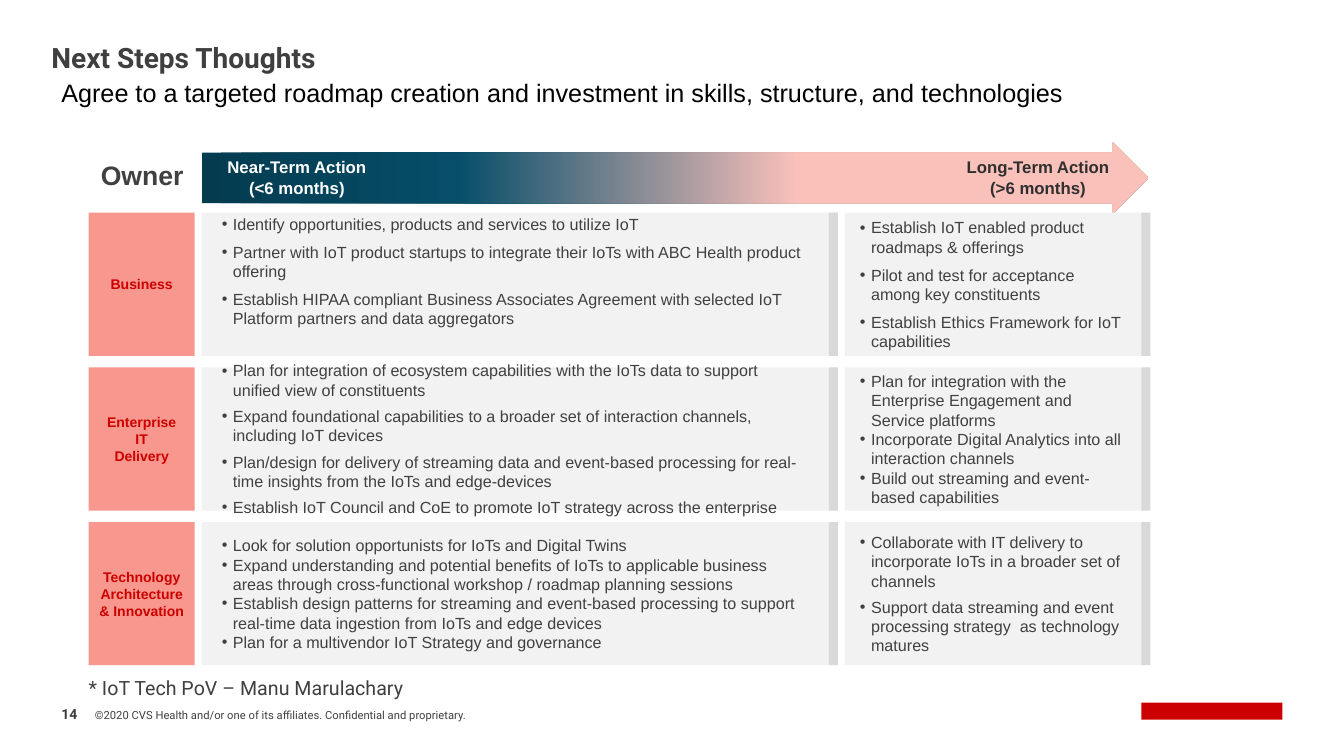
import copy

import pptx
import pptx.dml.color
import pptx.enum.shapes
import pptx.enum.text
import pptx.oxml
import pptx.oxml.ns
import pptx.util

Inches = pptx.util.Inches
Pt = pptx.util.Pt
SHAPES = pptx.enum.shapes.MSO_SHAPE
ANCHOR = pptx.enum.text.MSO_ANCHOR
ALIGN = pptx.enum.text.PP_ALIGN

COLORS = {
    "grey text": "3F3F3F", "card text": "404040", "dark text": "2F2F2F",
    "black": "000000", "white": "FFFFFF", "red": "CC0000",
    "owner": "F7978D", "card": "F2F2F2", "bar": "D9D9D9",
    "navy": "043B4F", "teal": "064E69", "pink": "FAC1BB",
}

# Roadmap grid, in inches
ROW_TOP, ROW_PITCH, ROW_HEIGHT = 2.11, 1.535, 1.42
OWNER_LEFT, OWNER_WIDTH = 0.88, 1.05
BAR_WIDTH = 0.09
BULLET_INDENT = Inches(0.11)
# left, width, bar left, left inset, right inset
COLUMNS = [(2, 6.3, 8.22, 0.2, 0.3), (8.38, 3, 11.32, 0.15, 0.2)]

# owner, then (space after, bullets) for near term and long term
ROWS = [
    ("Business",
     (6, ["Identify opportunities, products and services to utilize IoT",
          "Partner with IoT product startups to integrate their IoTs with ABC Health product offering",
          "Establish HIPAA compliant Business Associates Agreement with selected IoT Platform partners and data aggregators"]),
     (6, ["Establish IoT enabled product roadmaps & offerings",
          "Pilot and test for acceptance among key constituents",
          "Establish Ethics Framework for IoT capabilities"])),
    ("Enterprise\vIT\vDelivery",
     (5, ["Plan for integration of ecosystem capabilities with the IoTs data to support unified view of constituents",
          "Expand foundational capabilities to a broader set of interaction channels, including IoT devices",
          "Plan/design for delivery of streaming data and event-based processing for real-time insights from the IoTs and edge-devices",
          "Establish IoT Council and CoE to promote IoT strategy across the enterprise"]),
     (0, ["Plan for integration with the Enterprise Engagement and Service platforms",
          "Incorporate Digital Analytics into all interaction channels",
          "Build out streaming and event-based capabilities"])),
    ("Technology Architecture & Innovation",
     (0, ["Look for solution opportunists for IoTs and Digital Twins",
          "Expand understanding and potential benefits of IoTs to applicable business areas through cross-functional workshop / roadmap planning sessions",
          "Establish design patterns for streaming and event-based processing to support real-time data ingestion from IoTs and edge devices",
          "Plan for a multivendor IoT Strategy and governance"]),
     (5, ["Collaborate with IT delivery to incorporate IoTs in a broader set of channels",
          "Support data streaming and event processing strategy  as technology matures"])),
]

presentation = pptx.Presentation()
presentation.slide_width = Inches(13.33)
presentation.slide_height = Inches(7.5)
slide = presentation.slides.add_slide(presentation.slide_layouts[5])


def add_block(kind, left, top, width, height, color):
    shape = slide.shapes.add_shape(kind, Inches(left), Inches(top), Inches(width), Inches(height))
    shape.shadow.inherit = False
    shape.fill.solid()
    shape.fill.fore_color.rgb = pptx.dml.color.RGBColor.from_string(COLORS[color])
    shape.line.fill.background()
    return shape


def write(shape, text, size, color, font="Arial", bold=False, align=ALIGN.LEFT,
          anchor=ANCHOR.TOP, insets=(0.1, 0.05, 0.1, 0.05), wrap=True):
    """Fill a shape with formatted text; insets run left, top, right, bottom."""
    frame = shape.text_frame
    frame.text = text
    frame.word_wrap = wrap
    frame.vertical_anchor = anchor
    (frame.margin_left, frame.margin_top,
     frame.margin_right, frame.margin_bottom) = map(Inches, insets)
    for paragraph in frame.paragraphs:
        paragraph.alignment = align
        for run in paragraph.runs:
            run.font.name = font
            run.font.size = Pt(size)
            run.font.bold = bold
            run.font.color.rgb = pptx.dml.color.RGBColor.from_string(COLORS[color])


# Title
title = slide.shapes.title
title.left, title.top, title.width, title.height = map(Inches, (0.51, 0.44, 12.3, 0.37))
write(title, "Next Steps Thoughts", 20, "grey text", "Roboto", True, insets=(0, 0, 0, 0))
title.text_frame.auto_size = pptx.enum.text.MSO_AUTO_SIZE.NONE
title.text_frame.paragraphs[0].line_spacing = 0.9

# Timeline arrow, dark on the near side and pink on the far side
arrow = add_block(SHAPES.RIGHT_ARROW, 2, 1.41, 9.39, 0.71, "pink")
arrow.adjustments[0], arrow.adjustments[1] = 0.707, 0.5
arrow.fill.gradient()
arrow.fill.gradient_angle = 0
stop_list = arrow.fill._fill._gradFill.find(pptx.oxml.ns.qn("a:gsLst"))
stop_list.append(copy.deepcopy(stop_list[-1]))
for stop, position, name in zip(arrow.fill.gradient_stops, (0, 0.27, 0.63), ("navy", "teal", "pink")):
    stop.position = position
    stop.color.rgb = pptx.dml.color.RGBColor.from_string(COLORS[name])

# Owner tiles, cards and their edge bars
for row, (owner, *cards) in enumerate(ROWS):
    top = ROW_TOP + row * ROW_PITCH
    tile = add_block(SHAPES.RECTANGLE, OWNER_LEFT, top, OWNER_WIDTH, ROW_HEIGHT, "owner")
    write(tile, owner, 10, "red", bold=True, align=ALIGN.CENTER, anchor=ANCHOR.MIDDLE)
    for (left, width, bar_left, inset_left, inset_right), (space_after, bullets) in zip(COLUMNS, cards):
        card = add_block(SHAPES.RECTANGLE, left, top, width, ROW_HEIGHT, "card")
        # The first near-term card starts at its top edge
        top_aligned = row == 0 and left == COLUMNS[0][0]
        write(card, "\n".join(bullets), 11.5, "card text",
              anchor=ANCHOR.TOP if top_aligned else ANCHOR.MIDDLE,
              insets=(inset_left, 0.02 if top_aligned else 0.1, inset_right, 0.1))
        for paragraph in card.text_frame.paragraphs:
            paragraph.space_after = Pt(space_after)
            properties = paragraph._p.get_or_add_pPr()
            properties.set("marL", str(BULLET_INDENT))
            properties.set("indent", str(-BULLET_INDENT))
            bullet_font = pptx.oxml.ns.qn("a:buFont")
            properties.append(properties.makeelement(bullet_font, {"typeface": "Arial"}))
            properties.append(properties.makeelement(pptx.oxml.ns.qn("a:buChar"), {"char": "•"}))
        add_block(SHAPES.RECTANGLE, bar_left, top, BAR_WIDTH, ROW_HEIGHT, "bar")

# Free-standing text: place, wording and format
centered = {"bold": True, "align": ALIGN.CENTER, "wrap": False}
heading = {**centered, "anchor": ANCHOR.MIDDLE}
flush = {"font": "Roboto", "insets": (0, 0, 0, 0)}
LABELS = [
    ((0.51, 0.72, 10.87, 0.4),
     "Agree to a targeted roadmap creation and investment in skills, structure, and technologies",
     18, "black", {}),
    ((0.68, 1.53, 1.46, 0.59), "Owner", 19, "card text", centered),
    ((2.14, 1.51, 1.61, 0.5), "Near-Term Action\n(<6 months)", 12, "white", heading),
    ((9.2, 1.51, 2.19, 0.5), "Long-Term Action\n(>6 months)", 12, "dark text", heading),
    ((0.88, 6.71, 3.27, 0.24), "* IoT Tech PoV – Manu Marulachary", 14, "grey text",
     {**flush, "wrap": False}),
    ((0.61, 6.96, 0.39, 0.25), "14", 10, "grey text",
     {**flush, "bold": True, "anchor": ANCHOR.MIDDLE}),
    ((0.94, 7.03, 8.8, 0.13),
     "©2020 CVS Health and/or one of its affiliates. Confidential and proprietary.",
     8, "grey text", {**flush, "anchor": ANCHOR.BOTTOM}),
]
for place, text, size, color, style in LABELS:
    write(slide.shapes.add_textbox(*map(Inches, place)), text, size, color, **style)

# Plain brand block in the footer
add_block(SHAPES.RECTANGLE, 11.32, 6.97, 1.4, 0.17, "red")

presentation.save("out.pptx")
